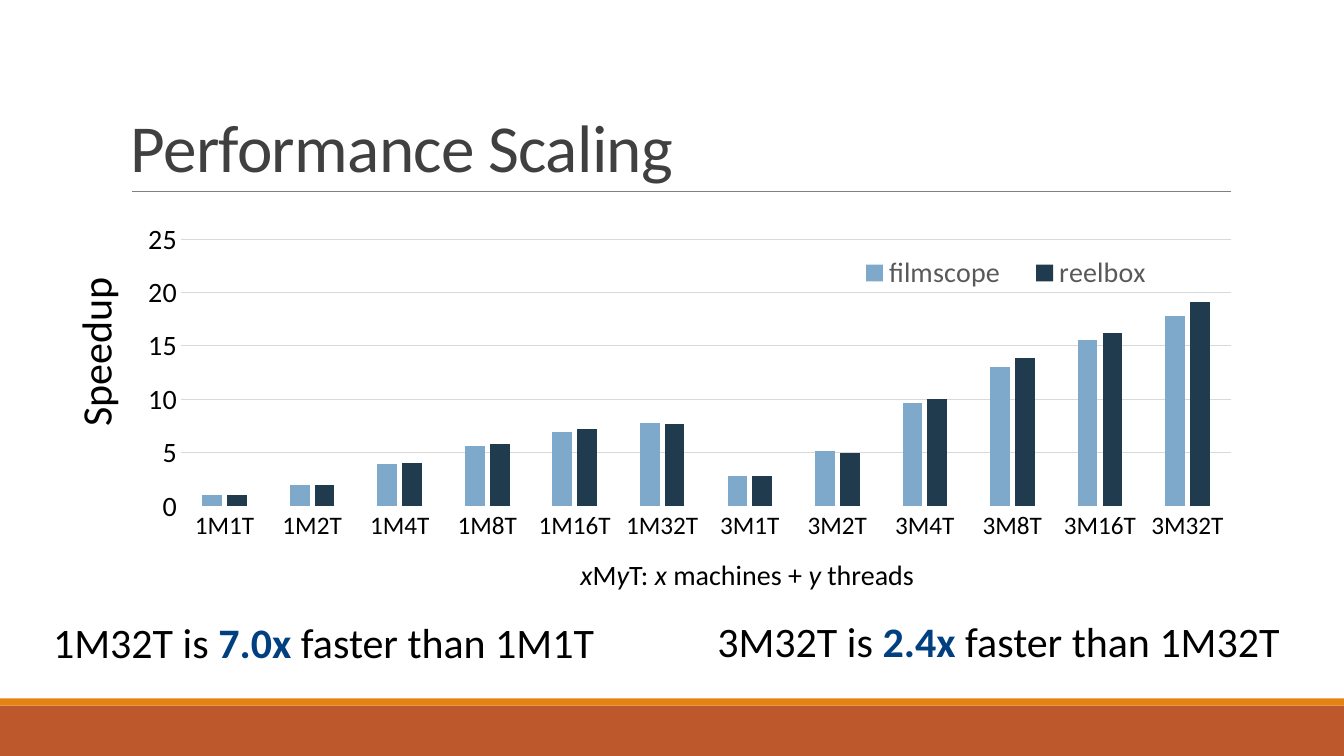
from lxml import etree
from pptx import Presentation
from pptx import util as u
from pptx.chart import data
from pptx.dml.color import RGBColor
from pptx.enum import chart as charts, shapes, text
from pptx.oxml.ns import qn

FONT = "Calibri"
COLORS = {
    "band": "BD582C", "stripe": "E48312", "rule": "808080", "title": "404040",
    "text": "000000", "highlight": "004080", "grid": "D9D9D9", "legend": "595959",
    "axis": "FFFFFF", "filmscope": "7EA9CA", "reelbox": "203A4E",
}
MACHINES = (1, 3)
THREADS = (1, 2, 4, 8, 16, 32)
SPEEDUPS = {
    "filmscope": (1, 2, 3.9, 5.6, 6.9, 7.8, 2.8, 5.2, 9.7, 13, 15.6, 17.8),
    "reelbox": (1, 2, 4, 5.8, 7.2, 7.7, 2.8, 5, 10, 13.9, 16.2, 19.1),
}


def rgb(key):
    return RGBColor.from_string(COLORS[key])


def cm(box):
    return [u.Cm(length) for length in box]


def style_font(font, size, color="text"):
    font.name = FONT
    font.size = u.Pt(size)
    font.color.rgb = rgb(color)


def add_label(slide, box, runs, size, color="text", anchor=text.MSO_ANCHOR.TOP):
    """Place one line of text; each run is (wording, emphasis)."""
    label = slide.shapes.add_textbox(*cm(box))
    frame = label.text_frame
    frame.word_wrap = True
    frame.vertical_anchor = anchor
    for wording, emphasis in runs:
        run = frame.paragraphs[0].add_run()
        run.text = wording
        style_font(run.font, size, "highlight" if emphasis == "bold" else color)
        run.font.bold = emphasis == "bold"
        run.font.italic = emphasis == "italic"
    return label


def add_footer(slide, box):
    left, top, width, height = box
    stripe_height = 0.18
    bands = (("band", top + stripe_height, height - stripe_height),
             ("stripe", top, stripe_height))
    for color, band_top, band_height in bands:
        band = slide.shapes.add_shape(shapes.MSO_SHAPE.RECTANGLE,
                                      *cm((left, band_top, width, band_height)))
        band.shadow.inherit = False
        band.fill.solid()
        band.fill.fore_color.rgb = rgb(color)
        band.line.fill.background()


def add_title(slide, box, wording):
    left, top, width, height = box
    # Rule under the title
    rule = slide.shapes.add_connector(
        shapes.MSO_CONNECTOR.STRAIGHT,
        *cm((left + 0.28, top + height, left + width + 0.02, top + height)))
    rule.line.color.rgb = rgb("rule")
    rule.line.width = u.Pt(0.5)
    etree.SubElement(rule.element.spPr, qn("a:effectLst"))
    # Heading, slightly tightened
    title = add_label(slide, box, [(wording, None)], 48, "title", text.MSO_ANCHOR.BOTTOM)
    heading = title.text_frame.paragraphs[0]
    heading.line_spacing = 0.85
    for properties in title.element.iter(qn("a:rPr")):
        properties.set("spc", "-50")


def set_layout(part, index, box, inner=False):
    """Fix a chart part at fractions of the chart's size."""
    for old in part.findall(qn("c:layout")):
        part.remove(old)
    layout = etree.Element(qn("c:layout"))
    manual = etree.SubElement(layout, qn("c:manualLayout"))
    settings = [("layoutTarget", "inner")] if inner else []
    settings += [("xMode", "edge"), ("yMode", "edge"), *zip("xywh", box)]
    for tag, value in settings:
        etree.SubElement(manual, qn(f"c:{tag}")).set("val", str(value))
    part.insert(index, layout)


def add_speedup_chart(slide, box):
    # Data
    speedups = data.CategoryChartData()
    speedups.categories = [f"{m}M{t}T" for m in MACHINES for t in THREADS]
    for dataset, values in SPEEDUPS.items():
        speedups.add_series(dataset, values)
    chart = slide.shapes.add_chart(
        charts.XL_CHART_TYPE.COLUMN_CLUSTERED, *cm(box), speedups).chart
    chart.has_title = False
    style_font(chart.font, 10)

    # Columns
    columns = chart.plots[0]
    columns.vary_by_categories = False
    columns.gap_width = 219
    columns.overlap = -27
    for series in columns.series:
        series.format.fill.solid()
        series.format.fill.fore_color.rgb = rgb(series.name)

    # Axes
    configurations, speedup = chart.category_axis, chart.value_axis
    for axis, size in ((configurations, 18), (speedup, 20)):
        axis.major_tick_mark = axis.minor_tick_mark = charts.XL_TICK_MARK.NONE
        style_font(axis.tick_labels.font, size)
    configurations.format.line.color.rgb = rgb("axis")
    configurations.format.line.width = u.Pt(0.75)
    speedup.minimum_scale, speedup.maximum_scale, speedup.major_unit = 0, 25, 5
    speedup.format.line.fill.background()
    speedup.has_major_gridlines = True
    speedup.major_gridlines.format.line.color.rgb = rgb("grid")
    speedup.major_gridlines.format.line.width = u.Pt(0.75)

    # Legend over the plot
    chart.has_legend = True
    chart.legend.position = charts.XL_LEGEND_POSITION.BOTTOM
    chart.legend.include_in_layout = False
    style_font(chart.legend.font, 20, "legend")
    root = chart.element
    set_layout(root.find(".//" + qn("c:legend")), 1, (0.64, 0.1, 0.29, 0.08))
    set_layout(root.find(".//" + qn("c:plotArea")), 0, (0.067, 0.07, 0.914, 0.555), True)


def add_axis_titles(slide, machines_box, speedup_box):
    add_label(slide, machines_box,
              [("x", "italic"), ("M", None), ("y", "italic"), ("T: ", None),
               ("x", "italic"), (" machines + ", None), ("y", "italic"),
               (" threads", None)], 20)
    speedup = add_label(slide, speedup_box, [("Speedup", None)], 30)
    speedup.text_frame.paragraphs[0].alignment = text.PP_ALIGN.CENTER
    speedup.rotation = 270


def add_finding(slide, box, faster, factor, slower):
    add_label(slide, box, [(f"{faster} is ", None), (factor, "bold"),
                           (f" faster than {slower}", None)], 30)


def main():
    deck = Presentation()
    deck.slide_width, deck.slide_height = u.Cm(33.87), u.Cm(19.05)
    slide = deck.slides.add_slide(deck.slide_layouts[6])
    add_footer(slide, (0, 17.6, 33.87, 1.45))
    add_title(slide, (3.05, 0.79, 27.94, 4.04), "Performance Scaling")
    add_speedup_chart(slide, (2.62, 5.18, 28.96, 12.12))
    add_axis_titles(slide, (14.38, 13.92, 9.63, 1.12), (-2.41, 8.1, 9.63, 1.55))
    add_finding(slide, (1.09, 15.42, 14.6, 1.55), "1M32T", "7.0x", "1M1T")
    add_finding(slide, (17.83, 15.39, 15, 1.55), "3M32T", "2.4x", "1M32T")
    deck.save("out.pptx")


if __name__ == "__main__":
    main()
